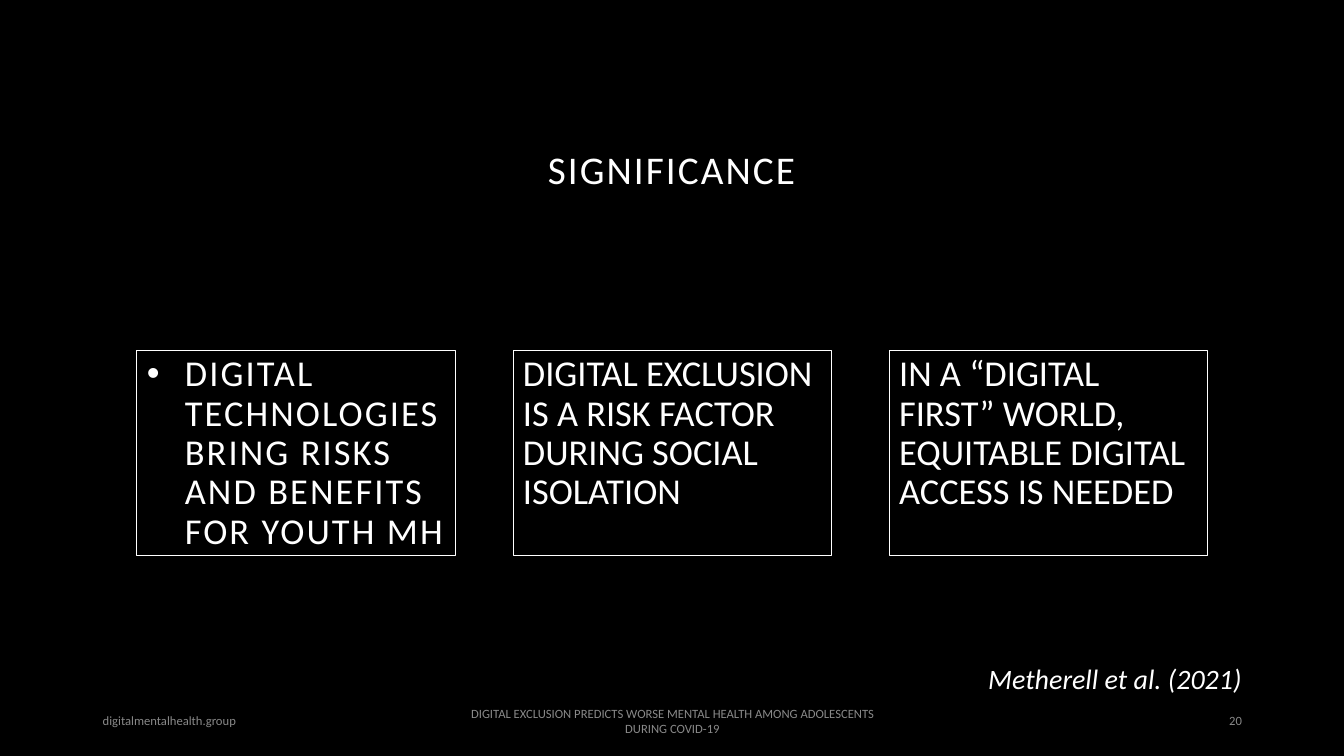
from pptx import Presentation
from pptx.dml.color import RGBColor
from pptx.enum.shapes import MSO_SHAPE
from pptx.enum.text import MSO_ANCHOR, MSO_AUTO_SIZE, PP_ALIGN
from pptx.oxml.ns import qn
from pptx.util import Cm, Pt

LEFT, CENTER, RIGHT = PP_ALIGN.LEFT, PP_ALIGN.CENTER, PP_ALIGN.RIGHT
TOP, MIDDLE = MSO_ANCHOR.TOP, MSO_ANCHOR.MIDDLE
RECTANGLE = MSO_SHAPE.RECTANGLE
NO_AUTOFIT = MSO_AUTO_SIZE.NONE

COLORS = {"background": "000000", "text": "FFFFFF", "footer": "898989"}


def place(shape, left, top, width, height):
    """Move and size a shape, in centimetres."""
    shape.left, shape.top = Cm(left), Cm(top)
    shape.width, shape.height = Cm(width), Cm(height)


def write(shape, text, size, color="text", align=LEFT, anchor=MIDDLE,
          line_spacing=1.0, tracking=0, italic=False):
    """Fill a shape with one formatted paragraph; tracking is in points."""
    frame = shape.text_frame
    frame.text = text
    frame_format = {"word_wrap": True, "auto_size": NO_AUTOFIT,
                    "vertical_anchor": anchor}
    paragraph = frame.paragraphs[0]
    paragraph_format = {"alignment": align, "line_spacing": line_spacing,
                        "space_before": Pt(0)}
    run = paragraph.runs[0]
    font_format = {"name": "Calibri", "size": Pt(size), "italic": italic}
    for target, values in ((frame, frame_format),
                           (paragraph, paragraph_format),
                           (run.font, font_format)):
        for name, value in values.items():
            setattr(target, name, value)
    run.font.color.rgb = RGBColor.from_string(COLORS[color])
    if tracking:
        run.font._element.set("spc", str(int(tracking * 100)))


presentation = Presentation()
presentation.slide_width, presentation.slide_height = Cm(33.87), Cm(19.05)
slide = presentation.slides.add_slide(presentation.slide_layouts[1])
slide.background.fill.solid()
slide.background.fill.fore_color.rgb = RGBColor.from_string(COLORS["background"])

# Title
title = slide.shapes.title
place(title, 5.23, 2.49, 23.39, 3.68)
write(title, "SIGNIFICANCE", 28, align=CENTER, line_spacing=0.9, tracking=1.5)

# Footer row
footers = [
    ("digitalmentalhealth.group", 2.34, 7.62, LEFT),
    ("DIGITAL EXCLUSION PREDICTS WORSE MENTAL HEALTH AMONG ADOLESCENTS "
     "DURING COVID-19", 11.23, 11.43, CENTER),
    ("20", 23.93, 7.62, RIGHT),
]
for text, left, width, align in footers:
    footer = slide.shapes.add_textbox(Cm(left), Cm(17.65), Cm(width), Cm(1.02))
    write(footer, text, 9, color="footer", align=align)

# Three key points in equal boxes
BOX_LEFT, BOX_TOP, BOX_WIDTH, BOX_HEIGHT, BOX_PITCH = 3.45, 8.83, 8.02, 5.16, 9.48
key_points = [
    ("DIGITAL TECHNOLOGIES BRING RISKS AND BENEFITS FOR YOUTH MH", 1.5),
    ("DIGITAL EXCLUSION IS A RISK FACTOR DURING SOCIAL ISOLATION", 0),
    ("IN A “DIGITAL FIRST” WORLD, EQUITABLE DIGITAL ACCESS IS NEEDED", 0),
]
for index, (text, tracking) in enumerate(key_points):
    if index == 0:
        key_point = slide.placeholders[1]
        properties = key_point.text_frame.paragraphs[0]._p.get_or_add_pPr()
        properties.set("marL", "0")
        properties.set("indent", "0")
        properties.append(properties.makeelement(qn("a:buNone"), {}))
    else:
        key_point = slide.shapes.add_shape(RECTANGLE, 0, 0, 0, 0)
        key_point.shadow.inherit = False
    place(key_point, BOX_LEFT + index * BOX_PITCH, BOX_TOP, BOX_WIDTH, BOX_HEIGHT)
    key_point.fill.background()
    key_point.line.color.rgb = RGBColor.from_string(COLORS["text"])
    key_point.line.width = Pt(0.75)
    write(key_point, text, 26, anchor=TOP, line_spacing=0.9, tracking=tracking)

# Citation
citation = slide.shapes.add_textbox(Cm(24.28), Cm(16.54), Cm(7.27), Cm(1.11))
write(citation, "Metherell et al. (2021)", 20, align=RIGHT, anchor=TOP, italic=True)

presentation.save("out.pptx")
